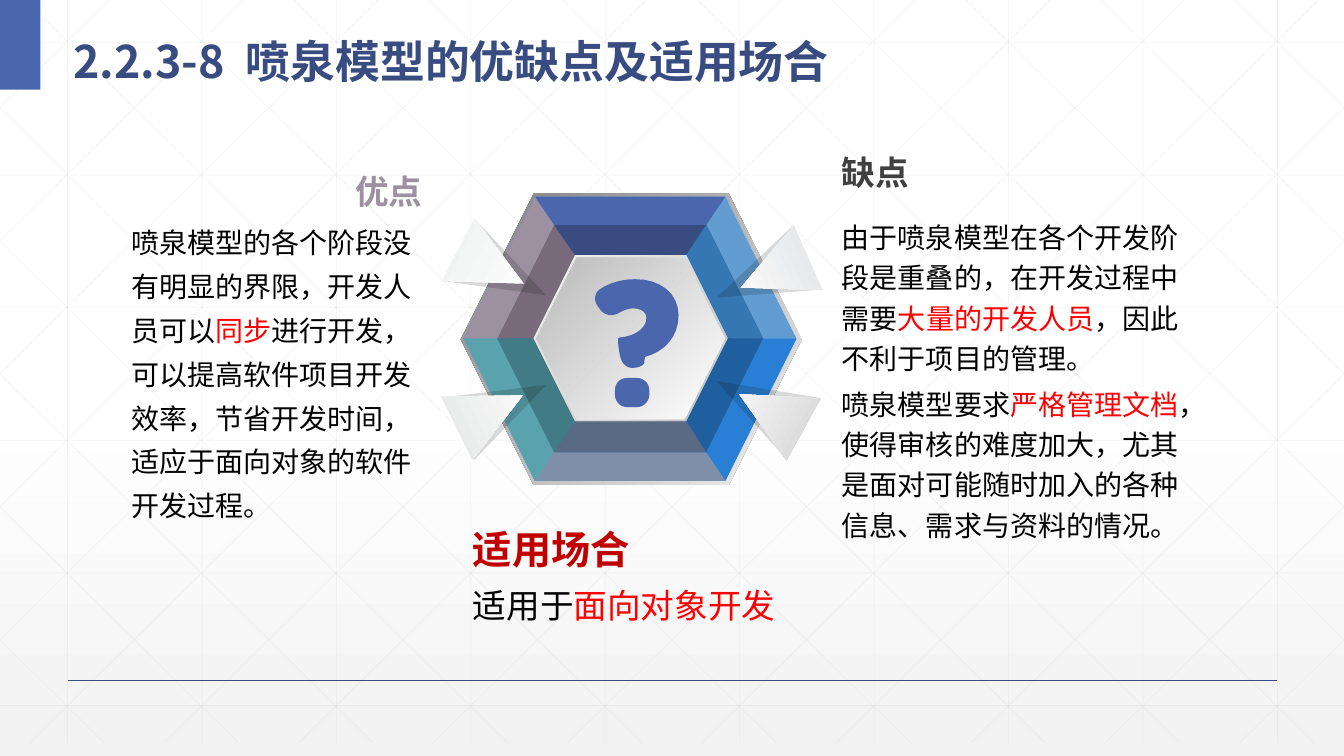
"""Build the slide on strengths, weaknesses and use of the fountain model."""
from dataclasses import dataclass

from lxml.etree import SubElement
from pptx import Presentation
from pptx.dml.color import RGBColor
from pptx.enum.shapes import MSO_CONNECTOR as Conn, MSO_SHAPE as Shape
from pptx.enum.text import MSO_ANCHOR as Anchor, PP_ALIGN as Align
from pptx.oxml.ns import qn
from pptx.util import Inches, Pt


@dataclass(frozen=True)
class Theme:
    blue: str = "4A66AC"
    navy: str = "384C81"
    sky: str = "629DD1"
    mauve: str = "9D90A0"
    charcoal: str = "404040"
    crimson: str = "C00000"
    black: str = "000000"
    red: str = "FF0000"
    shade: str = "0D0D0D"
    grid: str = "D9D9D9"
    title: int = 32
    banner: int = 28
    heading: int = 24
    body: int = 20
    cjk: str = "Noto Sans CJK SC"
    latin: str = "Arial"


T = Theme()
Box = tuple[float, float, float, float]
Point = tuple[float, float]


@dataclass(frozen=True)
class Stop:
    pos: int
    color: str
    alpha: int = 100


@dataclass(frozen=True)
class Span:
    text: str
    color: str = T.black
    spacing: int = 0


@dataclass(frozen=True)
class TextBlock:
    box: Box
    paragraphs: tuple[tuple[Span, ...], ...]
    size: int
    font: str = T.cjk
    bold: bool = False
    align: Align = Align.LEFT
    anchor: Anchor = Anchor.TOP
    line: object = 1.0
    gap: int = 0
    inset: Point = (0, 0)


@dataclass(frozen=True)
class Spike:
    left: float
    top: float
    shade_left: float
    shade_top: float
    angle: float
    tint: str


TEXTS = (
    TextBlock((0.63, 0.16, 11.52, 0.73),
              ((Span("2.2.3-8", T.navy), Span(" ", T.navy, 750),
                Span("喷泉模型的优缺点及适用场合", T.navy)),),
              T.title, bold=True, anchor=Anchor.MIDDLE, line=1.3, inset=(0.1, 0.05)),
    TextBlock((8.35, 1.3, 3.34, 0.81), ((Span("缺点", T.charcoal),),),
              T.heading, T.latin, True, anchor=Anchor.MIDDLE),
    TextBlock((8.35, 2.12, 3.47, 3.48),
              ((Span("由于喷泉模型在各个开发阶段是重叠的，在开发过程中需要"),
                Span("大量的开发人员", T.red), Span("，因此不利于项目的管理。")),
               (Span("喷泉模型要求"), Span("严格管理文档", T.red),
                Span("，使得审核的难度加大，尤其是面对可能随时加入的各种信息、需求与资料的情况。"))),
              T.body, line=Pt(28.8), gap=4),
    TextBlock((1.3, 1.66, 2.89, 0.48), ((Span("优点", T.mauve),),),
              T.heading, T.latin, True, Align.RIGHT, Anchor.MIDDLE),
    TextBlock((1.3, 2.14, 2.89, 3.26),
              ((Span("喷泉模型的各个阶段没有明显的界限，开发人员可以"), Span("同步", T.red),
                Span("进行开发，可以提高软件项目开发效率，节省开发时间，适应于面向对象的软件开发过程。")),),
              T.body, line=Pt(31.3)),
    TextBlock((4.69, 5.2, 3.28, 0.5), ((Span("适用场合", T.crimson),),),
              T.banner, T.latin, True, anchor=Anchor.MIDDLE),
    TextBlock((4.69, 5.7, 3.34, 0.74),
              ((Span("适用于"), Span("面向对象开发", T.red)),), T.heading, line=Pt(36)),
)
SPIKES = (
    Spike(7.3, 3.72, 7.19, 3.53, 298.8, "D3D3D4"),
    Spike(7.33, 2.34, 7.21, 2.27, 246.1, "E2E3E4"),
    Spike(4.51, 3.72, 4.64, 3.55, 63.5, "E4E5E6"),
    Spike(4.52, 2.28, 4.64, 2.22, 117.4, "F0F1F1"),
)
OUTER: Box = (4.6, 1.95, 3.3, 2.82)
MIDDLE: Box = (4.93, 2.23, 2.64, 2.26)
INNER: Box = (5.29, 2.53, 1.93, 1.65)
INNER_FACETS = ("78697B", T.navy, "3477B2", "1F5FA0", "596A85", "417B85")
OUTER_FACETS = (T.mauve, T.blue, None, "297FD5", "7F8FA9", "5AA2AE")
MARK_DOT = ((6.22, 3.75), (6.32, 3.75), (6.38, 3.75, 6.44, 3.8, 6.44, 3.87),
            (6.44, 3.92), (6.44, 3.98, 6.38, 4.04, 6.32, 4.04), (6.22, 4.04),
            (6.15, 4.04, 6.1, 3.98, 6.1, 3.92), (6.1, 3.87),
            (6.1, 3.8, 6.15, 3.75, 6.22, 3.75))
MARK_HOOK = ((6.3, 2.77), (6.55, 2.77, 6.73, 2.91, 6.73, 3.13),
             (6.73, 3.34, 6.59, 3.49, 6.4, 3.54), (6.4, 3.54, 6.39, 3.57, 6.39, 3.6),
             (6.38, 3.63, 6.33, 3.65, 6.27, 3.65), (6.21, 3.65, 6.16, 3.6, 6.15, 3.53),
             (6.14, 3.48), (6.13, 3.42, 6.13, 3.36, 6.13, 3.36), (6.14, 3.35),
             (6.34, 3.33, 6.41, 3.23, 6.41, 3.16), (6.41, 3.15),
             (6.41, 3.1, 6.36, 3.06, 6.28, 3.06), (6.23, 3.06, 6.18, 3.08, 6.13, 3.11),
             (6.07, 3.14, 6, 3.13, 5.96, 3.08), (5.93, 3.04),
             (5.89, 2.99, 5.89, 2.91, 5.95, 2.87), (6.04, 2.81, 6.16, 2.77, 6.3, 2.77))


def set_alpha(color_el, percent: int) -> None:
    SubElement(color_el, qn("a:alpha")).set("val", str(percent * 1000))


def set_gradient(fill, owner, angle: int, *stops: Stop) -> None:
    fill.gradient()
    grad = next(owner.iter(qn("a:gradFill")))
    for child in list(grad):
        grad.remove(child)
    gs_list = SubElement(grad, qn("a:gsLst"))
    for stop in stops:
        gs = SubElement(gs_list, qn("a:gs"), pos=str(stop.pos * 1000))
        color = SubElement(gs, qn("a:srgbClr"), val=stop.color)
        if stop.alpha < 100:
            set_alpha(color, stop.alpha)
    SubElement(grad, qn("a:lin"), ang=str(angle * 60000), scaled="0")


def paint(sp, color: str, alpha: int = 100) -> None:
    sp.shadow.inherit = False
    sp.line.fill.background()
    sp.fill.solid()
    sp.fill.fore_color.rgb = RGBColor.from_string(color)
    if alpha < 100:
        set_alpha(next(sp._element.spPr.iter(qn("a:srgbClr"))), alpha)


def add_preset(s, kind: Shape, box: Box, color: str, alpha: int = 100, angle: float = 0):
    sp = s.shapes.add_shape(kind, *map(Inches, box))
    sp.rotation = angle
    paint(sp, color, alpha)
    return sp


def add_line(s, start: Point, end: Point, color: str, width: float, alpha: int = 100) -> None:
    c = s.shapes.add_connector(Conn.STRAIGHT, *map(Inches, start + end))
    c.line.color.rgb = RGBColor.from_string(color)
    c.line.width = Pt(width)
    if alpha < 100:
        set_alpha(next(c._element.spPr.iter(qn("a:srgbClr"))), alpha)
    SubElement(c._element.spPr, qn("a:effectLst"))


def add_outline(s, contours: list[list[Point]], color: str) -> None:
    scaled = [[(x * 1000, y * 1000) for x, y in contour] for contour in contours]
    builder = s.shapes.build_freeform(*scaled[0][0], scale=Inches(1) / 1000)
    for i, contour in enumerate(scaled):
        if i:
            builder.move_to(*contour[0])
        builder.add_line_segments(contour[1:], close=True)
    paint(builder.convert_to_shape(), color)


def flatten(segments: tuple, steps: int = 8) -> list[Point]:
    points = [segments[0]]
    for seg in segments[1:]:
        if len(seg) == 2:
            points.append(seg)
            continue
        ctrl = (points[-1], seg[:2], seg[2:4], seg[4:])
        for t in (n / steps for n in range(1, steps + 1)):
            weights = ((1 - t) ** 3, 3 * t * (1 - t) ** 2, 3 * t * t * (1 - t), t ** 3)
            points.append(tuple(sum(w * p[a] for w, p in zip(weights, ctrl)) for a in (0, 1)))
    return points


def hexagon(box: Box) -> list[Point]:
    x, y, w, h = box
    cut = h / 4
    return [(x, y + h / 2), (x + cut, y), (x + w - cut, y),
            (x + w, y + h / 2), (x + w - cut, y + h), (x + cut, y + h)]


def add_facets(s, outside: Box, inside: Box, colors: tuple) -> None:
    far, near = hexagon(outside), hexagon(inside)
    for i, color in enumerate(colors):
        j = (i + 1) % 6
        if color:
            add_outline(s, [[far[i], far[j], near[j], near[i]]], color)


def add_grid(s, width: float = 13.33, height: float = 7.37, run: float = 7.45) -> None:
    step = 4 / 3
    lines = [((x, 0), (x, height)) for x in (0.67 + step * k for k in range(10))]
    lines += [((0, y), (width, y)) for y in (0.42 + 1.316 * k for k in range(6))]
    for x in (0.25 + step * k for k in range(-5, 10)):
        a, b = max(x, 0), min(x + run, width)
        ya, yb = ((v - x) * height / run for v in (a, b))
        lines += [((a, ya), (b, yb)), ((width - a, ya), (width - b, yb))]
    for start, end in lines:
        add_line(s, start, end, T.grid, 0.5, 25)


def add_text(s, block: TextBlock) -> None:
    tf = s.shapes.add_textbox(*map(Inches, block.box)).text_frame
    tf.word_wrap = True
    tf.vertical_anchor = block.anchor
    tf.margin_left = tf.margin_right = Inches(block.inset[0])
    tf.margin_top = tf.margin_bottom = Inches(block.inset[1])
    for i, spans in enumerate(block.paragraphs):
        p = tf.add_paragraph() if i else tf.paragraphs[0]
        p.alignment, p.line_spacing = block.align, block.line
        p.space_before = Pt(block.gap if i else 0)
        for span in spans:
            r = p.add_run()
            r.text = span.text
            r.font.size, r.font.bold, r.font.name = Pt(block.size), block.bold, block.font
            r.font.color.rgb = RGBColor.from_string(span.color)
            rpr = r._r.get_or_add_rPr()
            SubElement(rpr, qn("a:ea"), typeface=T.cjk)
            if span.spacing:
                rpr.set("spc", str(span.spacing))


def add_emblem(s) -> None:
    rim = add_preset(s, Shape.HEXAGON, (4.57, 1.92, 3.38, 2.89), T.grid)
    set_gradient(rim.fill, rim._element, 45, Stop(0, "808080"), Stop(100, "F2F2F2"))
    add_preset(s, Shape.HEXAGON, OUTER, T.sky)
    add_preset(s, Shape.HEXAGON, MIDDLE, T.blue)
    for box, start, end in ((INNER, "BFBFBF", "F2F2F2"),
                            ((5.32, 2.56, 1.87, 1.6), "FFFFFF", "BABABA")):
        sp = add_preset(s, Shape.HEXAGON, box, T.grid)
        set_gradient(sp.fill, sp._element, 225, Stop(0, start), Stop(100, end))
    add_facets(s, MIDDLE, INNER, INNER_FACETS)
    add_facets(s, OUTER, MIDDLE, OUTER_FACETS)
    for k in SPIKES:
        add_preset(s, Shape.ISOSCELES_TRIANGLE, (k.shade_left, k.shade_top, 0.69, 0.97),
                   T.shade, 16, k.angle)
        sp = add_preset(s, Shape.ISOSCELES_TRIANGLE, (k.left, k.top, 0.7, 0.73),
                        k.tint, angle=k.angle)
        set_gradient(sp.fill, sp._element, 90, Stop(0, "FFFFFF"), Stop(100, k.tint))
    add_outline(s, [flatten(MARK_DOT), flatten(MARK_HOOK)], T.blue)


def main() -> None:
    prs = Presentation()
    prs.slide_width, prs.slide_height = Inches(13.33), Inches(7.5)
    s = prs.slides.add_slide(prs.slide_layouts[6])
    set_gradient(s.background.fill, s._element, 90, Stop(0, "FFFFFF"),
                 Stop(53, "FFFFFF"), Stop(100, "F2F2F2", 65))
    add_grid(s)
    add_line(s, (0.67, 6.75), (12.67, 6.75), T.navy, 1)
    add_preset(s, Shape.RECTANGLE, (0, 0, 0.4, 0.89), T.blue)
    add_emblem(s)
    for block in TEXTS:
        add_text(s, block)
    prs.save("out.pptx")


if __name__ == "__main__":
    main()
